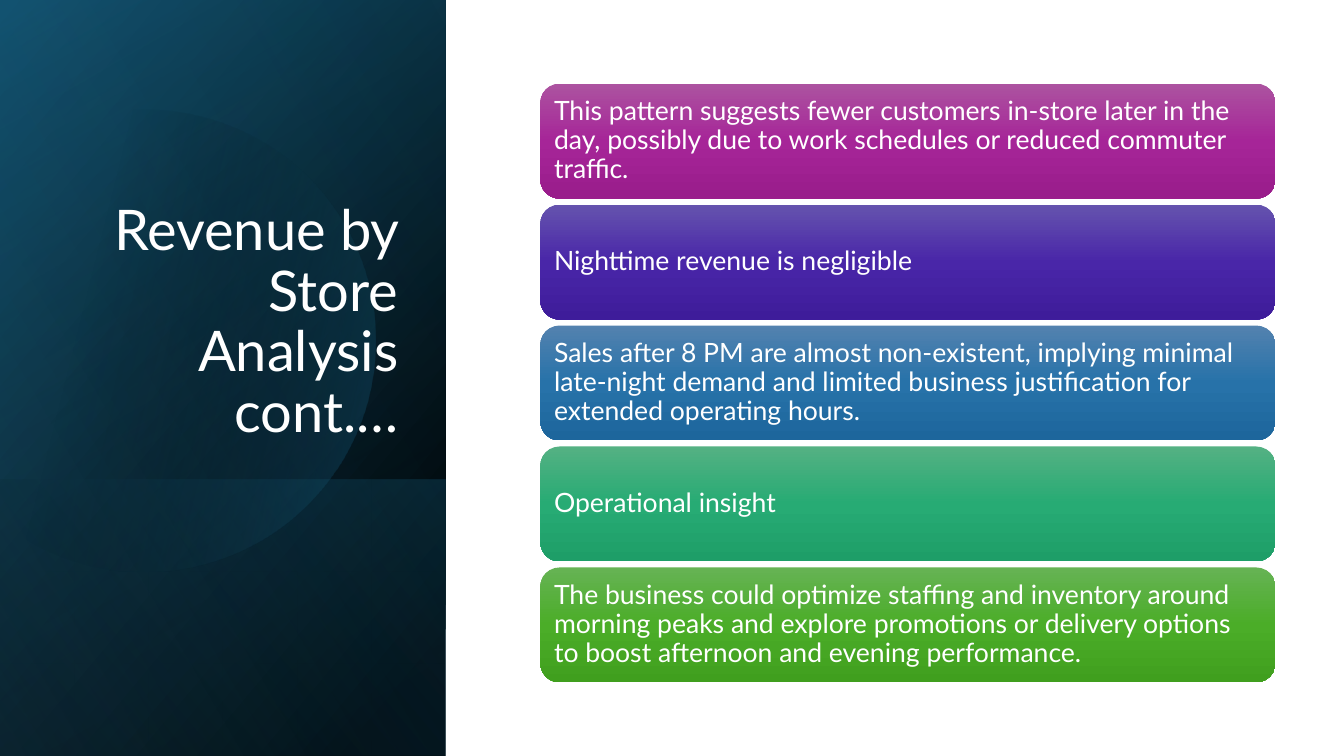
from dataclasses import dataclass
from math import acos, cos, pi, sin

from lxml.etree import SubElement
from pptx import Presentation
from pptx.dml.color import RGBColor
from pptx.enum.shapes import MSO_SHAPE as Preset
from pptx.enum.text import MSO_ANCHOR as Anchor, MSO_AUTO_SIZE as AutoSize, PP_ALIGN as Align
from pptx.oxml.ns import qn
from pptx.shapes.autoshape import Shape
from pptx.slide import Slide
from pptx.text.text import TextFrame
from pptx.util import Inches, Pt

FONT = "Lato"
COLORS = {
    "white": "FFFFFF",
    "black": "000000",
    "navy": "104862",
    "teal": "156082",
    "sky": "46B1E1",
}


@dataclass(frozen=True)
class Stop:
    position: int
    color: str
    opacity: int = 100


@dataclass(frozen=True)
class Panel:
    """A backdrop rectangle, given before its quarter turn."""
    left: float
    top: float
    width: float
    height: float
    angle: int
    stops: tuple[Stop, ...]


@dataclass(frozen=True)
class Card:
    text: str
    shades: tuple[str, str, str]


BLACK, NAVY, TEAL, SKY = (COLORS[name] for name in ("black", "navy", "teal", "sky"))

LOWER_PANELS = (
    Panel(-1.54, 1.54, 7.5, 4.42, 50, (Stop(8, BLACK), Stop(100, NAVY))),
    Panel(-1.54, 1.54, 7.5, 4.42, 30, (Stop(0, BLACK, 0), Stop(99, TEAL, 46))),
    Panel(0.84, 3.92, 2.74, 4.42, 130, (Stop(2, TEAL, 29), Stop(100, BLACK, 30))),
)
DISC_STOPS = (Stop(29, BLACK, 0), Stop(100, TEAL, 43))
SHEEN = Panel(-1.54, 1.54, 7.5, 4.42, 120, (Stop(0, BLACK, 0), Stop(99, SKY, 11)))

CARDS = (
    Card("This pattern suggests fewer customers in-store later in the day, possibly "
         "due to work schedules or reduced commuter traffic.",
         ("AC53A0", "A62598", "991C8B")),
    Card("Nighttime revenue is negligible",
         ("6553AE", "4926A8", "3E1C9A")),
    Card("Sales after 8 PM are almost non-existent, implying minimal late-night demand "
         "and limited business justification for extended operating hours.",
         ("5382AF", "2772A9", "1D669C")),
    Card("Operational insight",
         ("54B183", "27AB74", "1E9E68")),
    Card("The business could optimize staffing and inventory around morning peaks and "
         "explore promotions or delivery options to boost afternoon and evening performance.",
         ("66B354", "4BAD28", "409F1E")),
)
CARD_LEFT, CARD_TOP, CARD_WIDTH, CARD_HEIGHT, CARD_STEP = 5.36, 0.83, 7.29, 1.14, 1.2


def paint_gradient(shape: Shape, stops: tuple[Stop, ...], angle: int) -> None:
    """Fill with a linear gradient, clockwise angle in degrees, without line or shadow."""
    shape.shadow.inherit = False
    shape.line.fill.background()
    shape.fill.background()
    properties = shape.element.spPr
    no_fill = properties.find(qn("a:noFill"))
    gradient = SubElement(properties, qn("a:gradFill"), rotWithShape="1")
    properties.replace(no_fill, gradient)
    stop_list = SubElement(gradient, qn("a:gsLst"))
    for stop in stops:
        entry = SubElement(stop_list, qn("a:gs"), pos=str(stop.position * 1000))
        color = SubElement(entry, qn("a:srgbClr"), val=stop.color)
        if stop.opacity < 100:
            SubElement(color, qn("a:alpha"), val=str(stop.opacity * 1000))
    SubElement(gradient, qn("a:lin"), ang=str(angle * 60000), scaled="0")


def write_text(frame: TextFrame, text: str, size: int, alignment: Align) -> None:
    frame.word_wrap = True
    frame.auto_size = AutoSize.NONE
    paragraph = frame.paragraphs[0]
    paragraph.alignment = alignment
    paragraph.line_spacing = 0.9
    run = paragraph.add_run()
    run.text = text
    run.font.name = FONT
    run.font.size = Pt(size)
    run.font.color.rgb = RGBColor.from_string(COLORS["white"])


def add_panel(slide: Slide, panel: Panel) -> None:
    shape = slide.shapes.add_shape(
        Preset.RECTANGLE, Inches(panel.left), Inches(panel.top),
        Inches(panel.width), Inches(panel.height))
    shape.rotation = 90
    shape.element.spPr.find(qn("a:xfrm")).set("flipH", "1")
    paint_gradient(shape, panel.stops, panel.angle)


def add_disc(slide: Slide) -> None:
    """Draw the large circle, cut off by a vertical edge on its left."""
    center_x, center_y, radius, cut_x, segments = 1.43, 3.38, 2.29, -0.15, 120
    reach = pi - acos((center_x - cut_x) / radius)
    angles = [reach * (2 * step / segments - 1) for step in range(segments + 1)]
    points = [(Inches(center_x + radius * cos(angle)), Inches(center_y + radius * sin(angle)))
              for angle in angles]
    builder = slide.shapes.build_freeform(*points[0])
    builder.add_line_segments(points[1:], close=True)
    paint_gradient(builder.convert_to_shape(), DISC_STOPS, 14)


def place_title(slide: Slide) -> None:
    title = slide.shapes.title
    title.left, title.top = Inches(0.64), Inches(1.84)
    title.width, title.height = Inches(3.41), Inches(2.62)
    title.text_frame.vertical_anchor = Anchor.BOTTOM
    write_text(title.text_frame, "Revenue by Store Analysis cont.…", 40, Align.RIGHT)
    slide.shapes.element.append(title.element)  # in front of the backdrop


def add_card(slide: Slide, card: Card, top: float) -> None:
    shape = slide.shapes.add_shape(
        Preset.ROUNDED_RECTANGLE, Inches(CARD_LEFT), Inches(top),
        Inches(CARD_WIDTH), Inches(CARD_HEIGHT))
    stops = tuple(Stop(50 * index, shade) for index, shade in enumerate(card.shades))
    paint_gradient(shape, stops, 90)
    frame = shape.text_frame
    # The rounded corners already push the text in by about 0.06 inches.
    frame.margin_left = frame.margin_right = Inches(0.08)
    frame.margin_top = frame.margin_bottom = Inches(0.08)
    frame.vertical_anchor = Anchor.MIDDLE
    write_text(frame, card.text, 19, Align.LEFT)


def main() -> None:
    presentation = Presentation()
    presentation.slide_width = Inches(13.33)
    presentation.slide_height = Inches(7.5)
    slide = presentation.slides.add_slide(presentation.slide_layouts[5])
    for panel in LOWER_PANELS:
        add_panel(slide, panel)
    add_disc(slide)
    add_panel(slide, SHEEN)
    place_title(slide)
    for index, card in enumerate(CARDS):
        add_card(slide, card, CARD_TOP + index * CARD_STEP)
    presentation.save("out.pptx")


if __name__ == "__main__":
    main()
